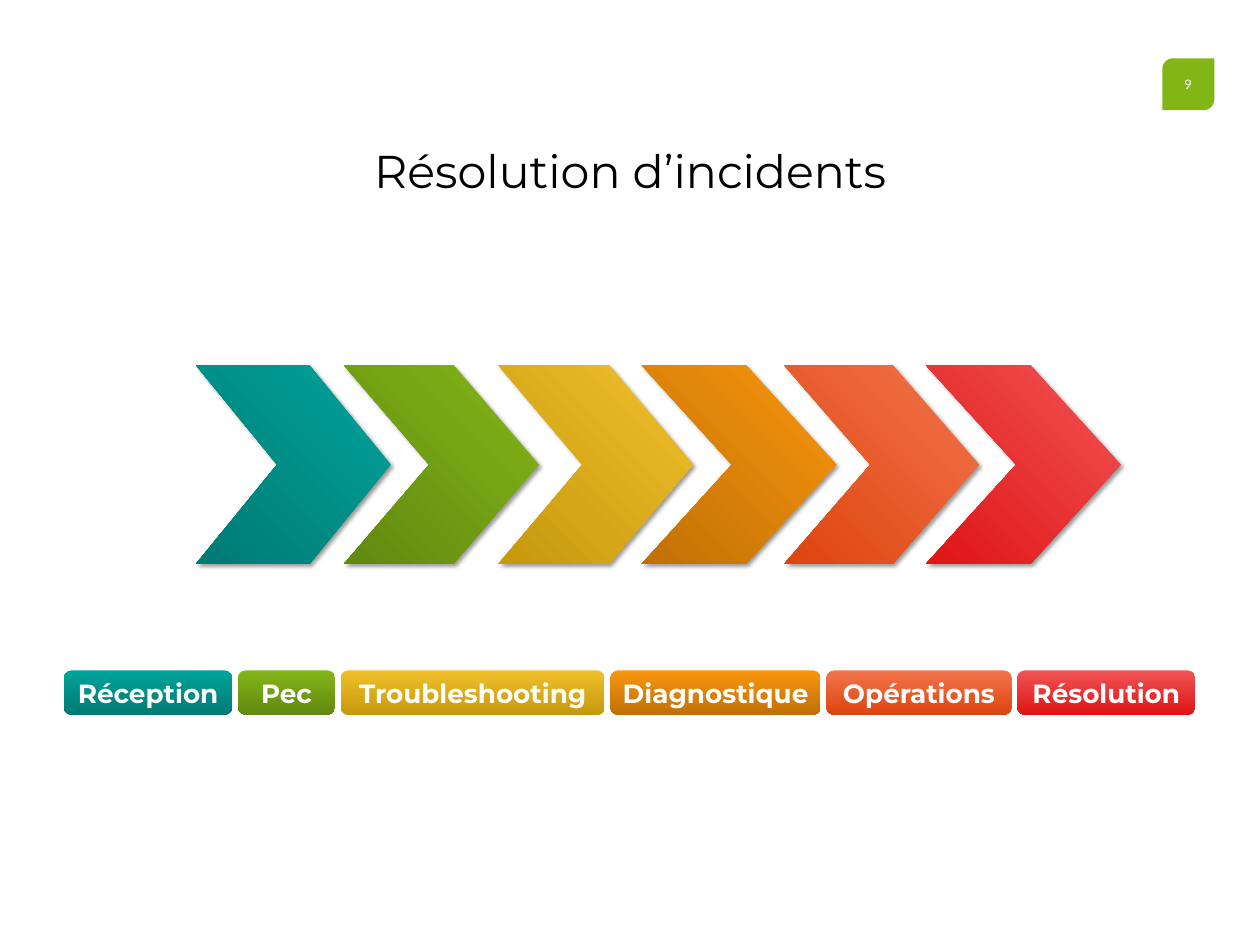
from lxml import etree
from pptx import Presentation
from pptx.dml.color import RGBColor
from pptx.enum import shapes, text
from pptx.oxml.ns import qn
from pptx.util import Pt

SHAPE = shapes.MSO_SHAPE


def add_box(kind, left, top, width, height, colours, angle=0):
    """Add a borderless shape; two colours make a gradient, none leaves it clear."""
    box = page.shapes.add_shape(kind, Pt(left), Pt(top), Pt(width), Pt(height))
    box.shadow.inherit = False
    box.line.fill.background()
    hues = [RGBColor.from_string(colour) for colour in colours]
    if len(hues) == 2:
        box.fill.gradient()
        box.fill.gradient_angle = angle
        for stop, hue in zip(box.fill.gradient_stops, hues):
            stop.color.rgb = hue
    elif hues:
        box.fill.solid()
        box.fill.fore_color.rgb = hues[0]
    else:
        box.fill.background()
    return box


def write(box, words, colour, **font):
    frame = box.text_frame
    frame.word_wrap = False
    frame.vertical_anchor = text.MSO_ANCHOR.MIDDLE
    para = frame.paragraphs[0]
    para.alignment = text.PP_ALIGN.CENTER
    span = para.add_run()
    span.text = words
    span.font.color.rgb = RGBColor.from_string(colour)
    for name, value in font.items():
        setattr(span.font, name, value)


deck = Presentation()
deck.slide_width, deck.slide_height = Pt(1152), Pt(864)
page = deck.slides.add_slide(deck.slide_layouts[6])

number = add_box(SHAPE.ROUND_2_DIAG_RECTANGLE, 1062.7, 53.3, 47.5, 47.5, ["82B617"])
number.adjustments[0] = 0.207
write(number, "9", "FFFFFF", name="Lato", size=Pt(12))

title = add_box(SHAPE.RECTANGLE, 326.2, 126.7, 499.7, 56.9, [])
write(title, "Résolution d’incidents", "000000", name="Montserrat", size=Pt(42))

# label, label width, chevron left, chevron notch, light colour, dark colour
steps = [
    ("Réception", 154.1, 179.3, 0.416, "00A39B", "007A74"),
    ("Pec", 88.6, 314.6, 0.437, "82B617", "628911"),
    ("Troubleshooting", 241.2, 455.8, 0.431, "F0C02B", "C6990E"),
    ("Diagnostique", 192.2, 586.8, 0.463, "F9960E", "C07105"),
    ("Opérations", 169.2, 717.1, 0.442, "F2754B", "DE4410"),
    ("Résolution", 162.7, 846.7, 0.463, "F05455", "DF1415"),
]
label_left, label_gap = 58.3, 5.3
shadow = {"blurRad": Pt(4), "dist": Pt(3), "dir": 45 * 60000, "algn": "tl", "rotWithShape": 0}

for label, width, left, notch, *colours in steps:
    chevron = add_box(SHAPE.CHEVRON, left, 334.1, 177.8, 181.4, colours, 225)
    chevron.adjustments[0] = notch
    effects = chevron.element.spPr.find(qn("a:effectLst"))
    outer = etree.SubElement(effects, qn("a:outerShdw"))
    for name, value in shadow.items():
        outer.set(name, str(int(value)) if name != "algn" else value)
    black = etree.SubElement(outer, qn("a:srgbClr"), val="000000")
    etree.SubElement(black, qn("a:alpha"), val="40000")

    tag = add_box(SHAPE.ROUNDED_RECTANGLE, label_left, 613, width, 40.4, colours, 270)
    write(tag, label, "FFFFFF", name="Montserrat", size=Pt(24), bold=True)
    label_left += width + label_gap

deck.save("out.pptx")
